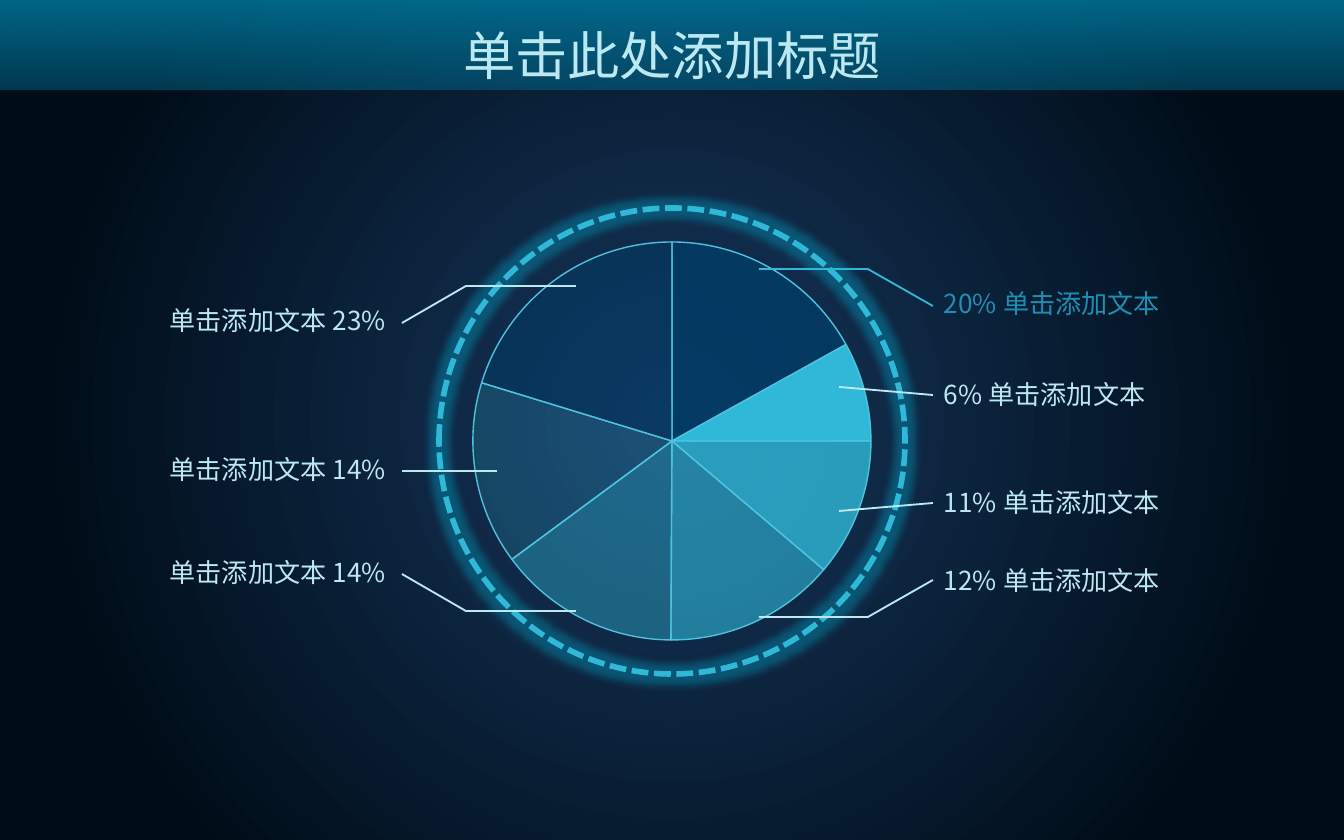
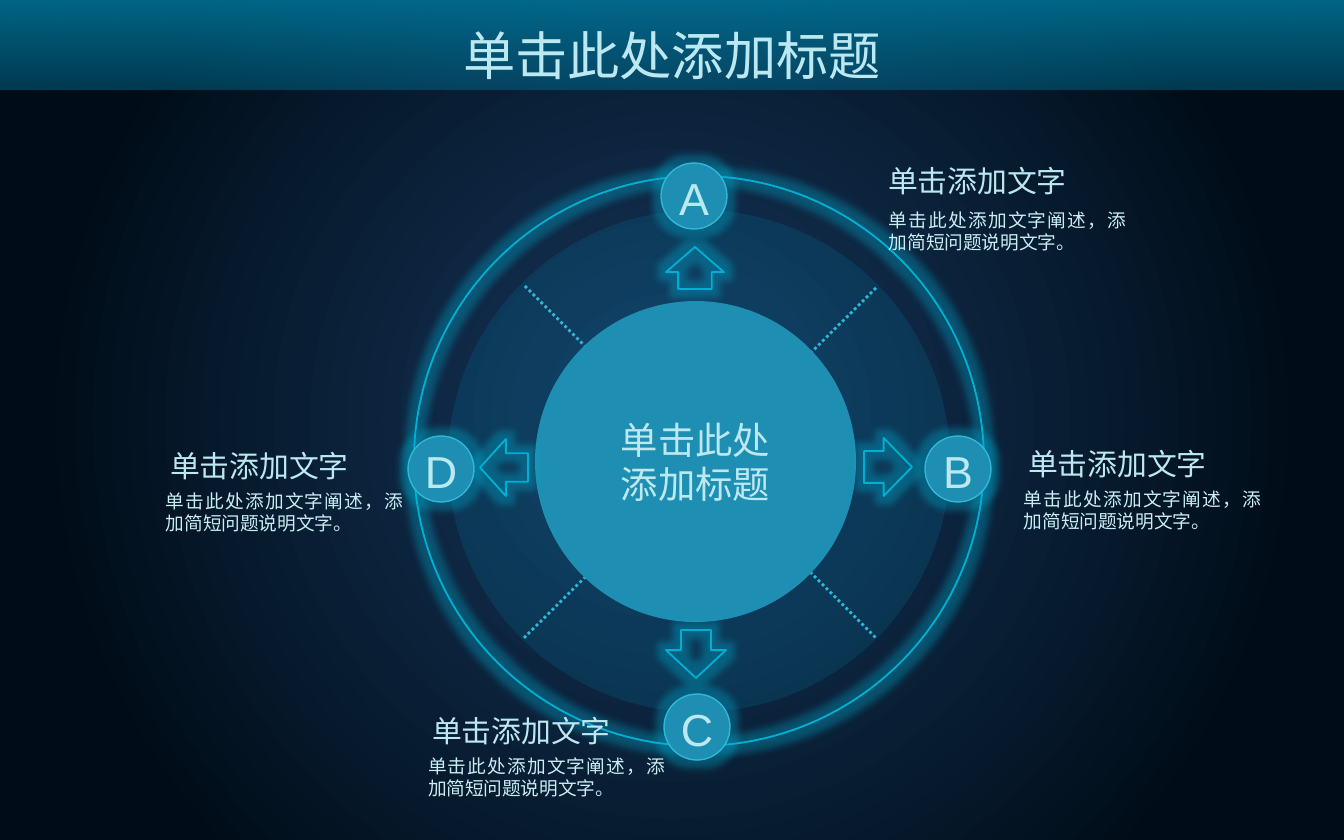
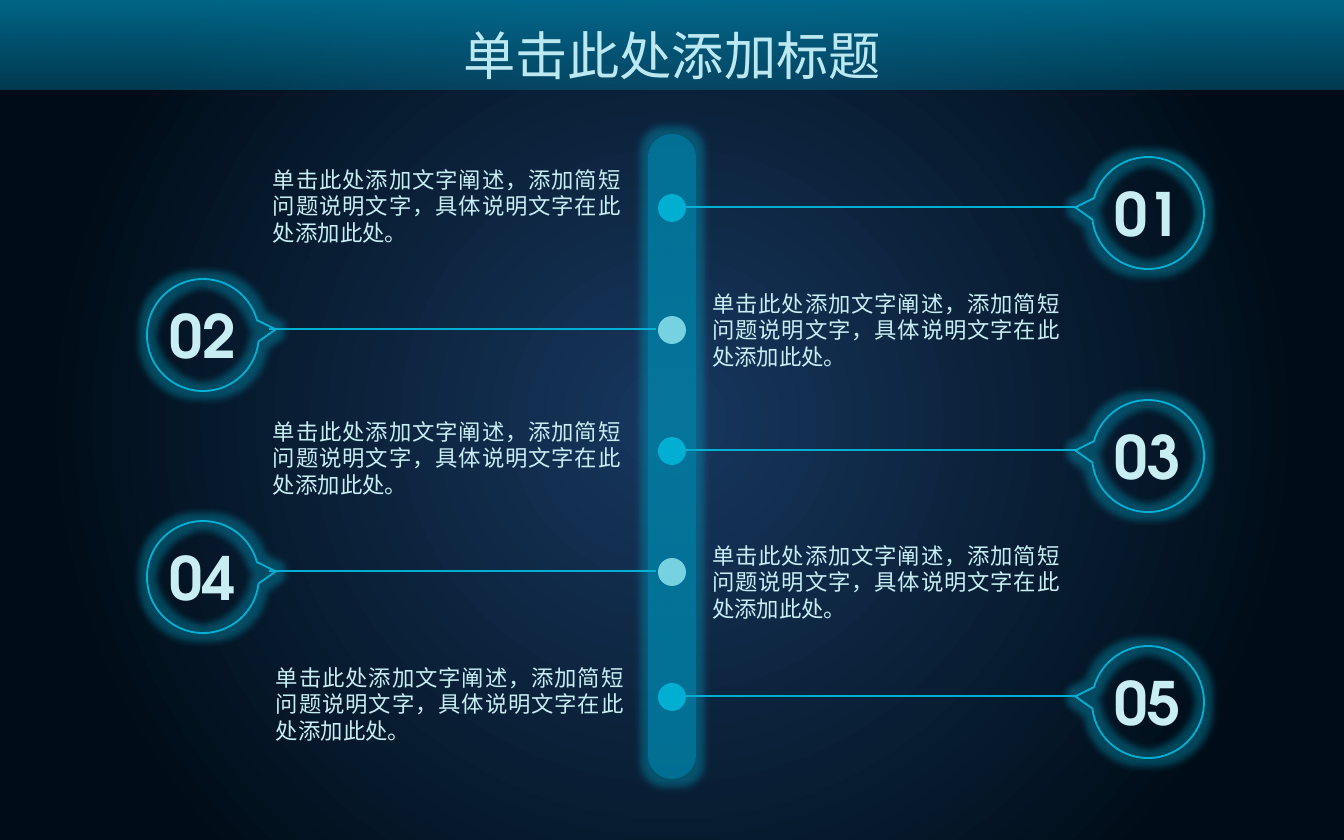
from dataclasses import dataclass
from itertools import cycle

from lxml.etree import SubElement, fromstring
from pptx import Presentation
from pptx.dml.color import RGBColor
from pptx.enum.dml import MSO_LINE
from pptx.enum.shapes import MSO_CONNECTOR, MSO_SHAPE as Preset
from pptx.enum.text import MSO_ANCHOR, PP_ALIGN as Align
from pptx.oxml.ns import nsdecls, qn
from pptx.util import Pt

PX = 914400 / 134.4
CJK, LATIN, DIGITS = "Noto Sans CJK SC", "Arial", "TeX Gyre Adventor"
COLORS = {
    "glow": "17375E", "night": "000D18", "band": "007DA4", "navy": "003C66",
    "sky": "30B8D8", "edge": "4EC3DE", "pale": "BCE8F2", "mist": "C8EDF3",
    "teal": "1E8FB2", "cyan": "00AFD2", "aqua": "76D1E0",
}
TITLE = "单击此处添加标题"
LABEL = "单击添加文本"
NOTE_HEAD = "单击添加文字"
NOTE_BODY = "单击此处添加文字阐述，添加简短问题说明文字。"
STEP_BODY = "单击此处添加文字阐述，添加简短问题说明文字，具体说明文字在此处添加此处。"


@dataclass
class Box:
    """A rectangle in px."""
    x: int
    y: int
    w: int
    h: int

    def inner(self, x, y, w, h):
        """Return a box placed relative to this one."""
        return Box(self.x + x, self.y + y, w, h)

    def emu(self):
        """Return left, top, width and height in EMU."""
        return [px(value) for value in (self.x, self.y, self.w, self.h)]


def px(value):
    """Turn px into EMU."""
    return round(value * PX)


def rgb(name):
    """Return a named colour."""
    return RGBColor.from_string(COLORS[name])


def set_gradient(parent, stops, direction):
    """Replace the solid fill of an element by a gradient."""
    marks = "".join(
        f'<a:gs pos="{at * 1000}"><a:srgbClr val="{COLORS[name]}">'
        f'<a:alpha val="{alpha * 1000}"/></a:srgbClr></a:gs>'
        for at, name, alpha in stops)
    gradient = fromstring(f'<a:gradFill {nsdecls("a")} rotWithShape="1">'
                          f'<a:gsLst>{marks}</a:gsLst>{direction}</a:gradFill>')
    parent.replace(parent.find(qn("a:solidFill")), gradient)


def set_alpha(color, alpha):
    """Give a colour element an opacity in percent."""
    SubElement(color, qn("a:alpha")).set("val", str(alpha * 1000))


def draw(page, preset, box, fill=None, alpha=100, line=None, weight=1,
         glow=False, adjust=()):
    """Add a preset shape with its fill, line and glow."""
    shape = page.shapes.add_shape(preset, *box.emu())
    shape.shadow.inherit = False
    props = shape.element.spPr
    for index, value in enumerate(adjust):
        shape.adjustments[index] = value
    if fill:
        shape.fill.solid()
        shape.fill.fore_color.rgb = rgb(fill)
        if alpha < 100:
            set_alpha(props.find(qn("a:solidFill"))[0], alpha)
    else:
        shape.fill.background()
    if line:
        shape.line.color.rgb = rgb(line)
        shape.line.width = Pt(weight)
    else:
        shape.line.fill.background()
    if glow:
        halo = SubElement(props.find(qn("a:effectLst")), qn("a:glow"))
        halo.set("rad", str(Pt(8)))
        color = SubElement(halo, qn("a:srgbClr"))
        color.set("val", COLORS["cyan"])
        set_alpha(color, 35)
    return shape


def write(shape, words, size, color="pale", font=CJK, align=Align.CENTER,
          pitch=None, bold=False, side=0, drop=0, wrap=True):
    """Put one run of text in a shape and return the run's properties."""
    frame = shape.text_frame
    frame.word_wrap = wrap
    frame.vertical_anchor = MSO_ANCHOR.MIDDLE
    frame.margin_left = frame.margin_right = px(side)
    frame.margin_top, frame.margin_bottom = px(drop), 0
    para = frame.paragraphs[0]
    para.alignment = align
    if pitch:
        para.line_spacing = Pt(pitch)
    span = para.add_run()
    span.text = words
    span.font.size = Pt(size)
    span.font.bold = bold
    span.font.color.rgb = rgb(color)
    span.font.name = font
    props = shape.element.find(".//" + qn("a:rPr"))
    SubElement(props, qn("a:ea")).set("typeface", font)
    return props


def add_text(page, box, words, size, **style):
    """Add a text box."""
    return write(page.shapes.add_textbox(*box.emu()), words, size, **style)


def add_line(page, points, color, weight=1, dash=None):
    """Add a connector for two points or an open outline for more."""
    ends = [(px(x), px(y)) for x, y in points]
    if len(ends) == 2:
        line = page.shapes.add_connector(MSO_CONNECTOR.STRAIGHT, *ends[0], *ends[1])
        SubElement(line.element.spPr, qn("a:effectLst"))
    else:
        builder = page.shapes.build_freeform(*ends[0])
        builder.add_line_segments(ends[1:], close=False)
        line = builder.convert_to_shape()
        line.shadow.inherit = False
        line.fill.background()
    line.line.color.rgb = rgb(color)
    line.line.width = Pt(weight)
    if dash:
        line.line.dash_style = dash


def set_background(master):
    """Give every slide the round dark blue gradient."""
    fill = master.background.fill
    fill.solid()
    fill.fore_color.rgb = rgb("night")
    centre = ('<a:path path="circle"><a:fillToRect l="50000" t="50000" '
              'r="50000" b="50000"/></a:path>')
    set_gradient(master.element.find(".//" + qn("p:bgPr")),
                 [(0, "glow", 100), (80, "night", 100)], centre)


def add_page(deck):
    """Add a slide with the title band."""
    page = deck.slides.add_slide(deck.slide_layouts[6])
    band = draw(page, Preset.RECTANGLE, Box(0, 0, 1344, 90), "band")
    set_gradient(band.element.spPr, [(0, "band", 80), (100, "band", 39)],
                 '<a:lin ang="5400000" scaled="0"/>')
    title = add_text(page, Box(433, 10, 478, 90), TITLE, 28)
    set_gradient(title, [(0, "edge", 100), (40, "pale", 100),
                         (60, "pale", 100), (100, "edge", 100)],
                 '<a:lin ang="0" scaled="0"/>')
    return page


def pie(page, box):
    """Draw the dashed ring and the seven slices inside it."""
    angles = [270, 331, 0, 40.3, 90.3, 143.5, 197, 270]
    fills = [("navy", 80), ("sky", 100), ("sky", 80), ("sky", 60),
             ("sky", 40), ("sky", 20), ("navy", 50)]
    disc = box.inner(34, 34, box.w - 68, box.h - 68)
    for start, end, (fill, alpha) in zip(angles, angles[1:], fills):
        draw(page, Preset.PIE, disc, fill, alpha, "edge", 0.75,
             adjust=(start * 0.6, end * 0.6))
    ring = draw(page, Preset.OVAL, box, line="sky", weight=3, glow=True)
    ring.line.dash_style = MSO_LINE.SQUARE_DOT


def pie_labels(page, box, labels, align):
    """Write labels down one side and lead each to its slice."""
    for words, middle, points, text_color, line_color in labels:
        add_text(page, box.inner(0, middle - 23, box.w, 46), words, 14,
                 color=text_color, align=align)
        add_line(page, [(box.x + x, box.y + y) for x, y in points], line_color)


def pie_slide(deck):
    """Build the slide with the labelled pie."""
    page = add_page(deck)
    pie(page, Box(439, 208, 466, 466))
    pie_labels(page, Box(66, 200, 320, 440), [
        (f"{LABEL} 23%", 120, [(510, 86), (400, 86), (336, 123)], "pale", "pale"),
        (f"{LABEL} 14%", 269, [(336, 271), (431, 271)], "pale", "pale"),
        (f"{LABEL} 14%", 372, [(510, 411), (400, 411), (336, 374)], "pale", "pale"),
    ], Align.RIGHT)
    pie_labels(page, Box(944, 200, 320, 440), [
        (f"20% {LABEL}", 103, [(-185, 69), (-76, 69), (-11, 106)], "teal", "sky"),
        (f"6% {LABEL}", 194, [(-105, 187), (-11, 195)], "pale", "pale"),
        (f"11% {LABEL}", 302, [(-105, 311), (-11, 303)], "pale", "pale"),
        (f"12% {LABEL}", 380, [(-185, 417), (-76, 417), (-11, 380)], "pale", "pale"),
    ], Align.LEFT)


def wheel(page, box):
    """Draw the ring, the hub, the spokes, the arrows and the badges."""
    draw(page, Preset.OVAL, box.inner(34, 34, 502, 502), "band", 20)
    for start, end in [((111, 110), (462, 462)), ((462, 112), (110, 462))]:
        add_line(page, [(box.x + x, box.y + y) for x, y in (start, end)],
                 "sky", 1.5, MSO_LINE.ROUND_DOT)
    hub = draw(page, Preset.OVAL, box.inner(121, 125, 321, 321), "teal")
    write(hub, TITLE, 20, pitch=24, side=26)
    draw(page, Preset.OVAL, box, line="cyan", glow=True)
    arrows = [
        (Preset.UP_ARROW, (252, 71, 58, 42), (0.58, 0.6)),
        (Preset.RIGHT_ARROW, (450, 262, 48, 58), (0.55, 0.59)),
        (Preset.DOWN_ARROW, (252, 454, 60, 48), (0.5, 0.58)),
        (Preset.LEFT_ARROW, (66, 263, 48, 57), (0.5, 0.54)),
    ]
    for preset, place, adjust in arrows:
        draw(page, preset, box.inner(*place), line="cyan", glow=True, adjust=adjust)
    badges = {"A": (247, -13), "B": (511, 260), "C": (250, 518), "D": (-6, 260)}
    for letter, place in badges.items():
        badge = draw(page, Preset.OVAL, box.inner(*place, 66, 66), "teal",
                     line="sky", weight=0.75, glow=True)
        write(badge, letter, 24, font=LATIN, drop=4, wrap=False)


def note(page, box, body_left=33, body_top=42):
    """Write a heading with its short text below."""
    add_text(page, box.inner(0, 0, box.w, 50), NOTE_HEAD, 16)
    add_text(page, box.inner(body_left, body_top, 237, 59), NOTE_BODY, 10,
             color="mist", align=Align.JUSTIFY, pitch=11.8)


def wheel_slide(deck):
    """Build the slide with the four-part wheel."""
    page = add_page(deck)
    wheel(page, Box(414, 176, 570, 570))
    note(page, Box(851, 156, 253, 105), 38, 46)
    for left, top in [(991, 439), (395, 706), (133, 441)]:
        note(page, Box(left, top, 253, 101))


def step(page, box, number, on_right, text_left, text_shift):
    """Draw one step: its node, line, numbered bubble and text."""
    middle = box.h // 2
    side = -1 if on_right else 1
    draw(page, Preset.OVAL, box.inner(497, middle - 14, 28, 28),
         "cyan" if on_right else "aqua")
    ends = (523, 917) if on_right else (495, 108)
    add_line(page, [(box.x + x, box.y + middle - 1) for x in ends], "cyan")
    bubble = draw(page, Preset.OVAL_CALLOUT,
                  box.inner(931 if on_right else -14, middle - 51, 112, 112),
                  line="cyan", glow=True, adjust=(side * 0.65, -0.05))
    write(bubble, f"{number:02}", 32, color="mist", font=DIGITS, bold=True,
          wrap=False)
    add_text(page, box.inner(text_left, middle + text_shift - 48, 348, 96),
             STEP_BODY, 12, color="mist", align=Align.JUSTIFY, pitch=14.2)


def timeline_slide(deck):
    """Build the slide with five steps along an upright bar."""
    page = add_page(deck)
    draw(page, Preset.ROUNDED_RECTANGLE, Box(648, 134, 48, 645), "band", 70,
         glow=True, adjust=(0.5,))
    rows = [(208, 112, -2), (330, 551, 0), (451, 112, 7),
            (572, 551, 10), (697, 115, 7)]
    sides = cycle([True, False])
    for number, ((middle, left, shift), on_right) in enumerate(zip(rows, sides), 1):
        step(page, Box(161, middle - 60, 1030, 120), number, on_right, left, shift)


def main():
    """Build and save the deck."""
    deck = Presentation()
    deck.slide_width, deck.slide_height = px(1344), px(840)
    set_background(deck.slide_master)
    pie_slide(deck)
    wheel_slide(deck)
    timeline_slide(deck)
    deck.save("out.pptx")


if __name__ == "__main__":
    main()
